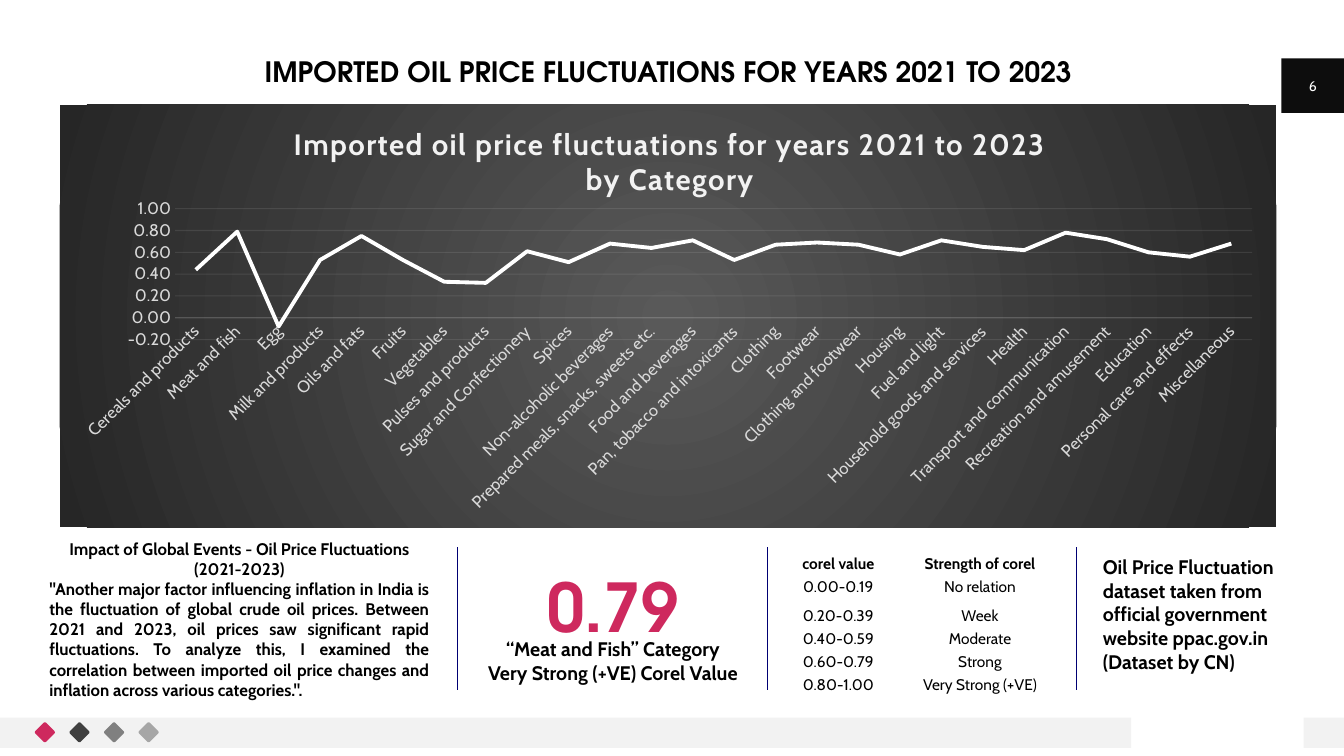
import pptx
import pptx.chart.data
import pptx.dml.color
import pptx.enum.chart
import pptx.enum.shapes
import pptx.enum.text
import pptx.oxml
import pptx.oxml.ns
import pptx.util
from lxml import etree

Inches, Pt = pptx.util.Inches, pptx.util.Pt
ALIGN = pptx.enum.text.PP_ALIGN
ANCHOR = pptx.enum.text.MSO_ANCHOR
SHAPE = pptx.enum.shapes.MSO_SHAPE

HEADING = "IMPORTED OIL PRICE FLUCTUATIONS FOR YEARS 2021 TO 2023"
PAGE = "6"
CHART_TITLE = "Imported oil price fluctuations for years 2021 to 2023\nby Category"
CORRELATIONS = {
    "Cereals and products": 0.44, "Meat and fish": 0.79, "Egg": -0.08,
    "Milk and products": 0.53, "Oils and fats": 0.75, "Fruits": 0.53,
    "Vegetables": 0.33, "Pulses and products": 0.32,
    "Sugar and Confectionery": 0.61, "Spices": 0.51,
    "Non-alcoholic beverages": 0.68,
    "Prepared meals, snacks, sweets etc.": 0.64,
    "Food and beverages": 0.71, "Pan, tobacco and intoxicants": 0.53,
    "Clothing": 0.67, "Footwear": 0.69, "Clothing and footwear": 0.67,
    "Housing": 0.58, "Fuel and light": 0.71,
    "Household goods and services": 0.65, "Health": 0.62,
    "Transport and communication": 0.78, "Recreation and amusement": 0.72,
    "Education": 0.6, "Personal care and effects": 0.56, "Miscellaneous": 0.68,
}
IMPACT = [
    ("Impact of Global Events - Oil Price Fluctuations", ALIGN.CENTER),
    ("(2021-2023)", ALIGN.CENTER),
    ('"Another major factor influencing inflation in India is the fluctuation of '
     "global crude oil prices. Between 2021 and 2023, oil prices saw significant "
     "rapid fluctuations. To analyze this, I examined the correlation between "
     "imported oil price changes and inflation across various categories.\".",
     ALIGN.JUSTIFY),
]
TOP_VALUE = "0.79"
TOP_CAPTION = ["“Meat and Fish” Category", "Very Strong (+VE) Corel Value"]
STRENGTHS = [
    ("corel value", "Strength of corel"),
    ("0.00-0.19", "No relation"),
    ("0.20-0.39", "Week"),
    ("0.40-0.59", "Moderate"),
    ("0.60-0.79", "Strong"),
    ("0.80-1.00", "Very Strong (+VE)"),
]
DATASET = ("Oil Price Fluctuation dataset taken from official government website "
           "ppac.gov.in (Dataset by CN)")

THEME = {
    "body": "Cabin", "display": "TeX Gyre Adventor",
    "text": "000000", "paper": "FFFFFF", "accent": "CE295E", "band": "F2F2F2",
    "page": "0D0D0D", "divider": "000073", "label": "D9D9D9",
    "glow": "595959", "edge": "262626",
    "diamonds": ["CE295E", "404040", "808080", "A6A6A6"],
    "heading_size": 20, "page_size": 10, "body_size": 12, "note_size": 14,
    "value_size": 48, "table_size": 11, "chart_title_size": 21,
}


def rgb(name):
    return pptx.dml.color.RGBColor.from_string(THEME.get(name, name))


def style(font, size, color="text", bold=True, face="body"):
    font.name, font.size, font.bold = THEME[face], Pt(THEME[size]), bold
    font.color.rgb = rgb(color)


def write(frame, lines, anchor, margin=0, **look):
    frame.word_wrap = True
    frame.vertical_anchor = anchor
    frame.margin_left = frame.margin_right = Inches(margin)
    frame.margin_top = frame.margin_bottom = Inches(margin / 2)
    for index, (text, align) in enumerate(lines):
        paragraph = frame.add_paragraph() if index else frame.paragraphs[0]
        paragraph.text, paragraph.alignment = text, align
        style(paragraph.font, **look)


def add_text(slide, box, lines, anchor=ANCHOR.MIDDLE, margin=0, **look):
    frame = slide.shapes.add_textbox(*map(Inches, box)).text_frame
    write(frame, lines, anchor, margin, **look)
    return frame


def add_block(slide, kind, box, color):
    block = slide.shapes.add_shape(kind, *map(Inches, box))
    block.shadow.inherit = False
    block.fill.solid()
    block.fill.fore_color.rgb = rgb(color)
    block.line.fill.background()
    return block


def faint_line(line):
    line.width = Pt(0.75)
    line.color.rgb = rgb("band")
    tint = line.fill._xPr.find(".//" + pptx.oxml.ns.qn("a:srgbClr"))
    etree.SubElement(tint, pptx.oxml.ns.qn("a:alpha"), val="10000")


def set_layout(parent, index, **settings):
    for former in parent.findall(pptx.oxml.ns.qn("c:layout")):
        parent.remove(former)
    layout = etree.Element(pptx.oxml.ns.qn("c:layout"))
    manual = etree.SubElement(layout, pptx.oxml.ns.qn("c:manualLayout"))
    for key, value in settings.items():
        etree.SubElement(manual, pptx.oxml.ns.qn("c:" + key), val=str(value))
    parent.insert(index, layout)


def add_frame(slide):
    for left, width in ((0, 11.22), (12.93, 0.4)):
        add_block(slide, SHAPE.RECTANGLE, (left, 7.12, width, 0.3), "band")
    page = add_block(slide, SHAPE.RECTANGLE, (12.71, 0.58, 0.62, 0.54), "page")
    write(page.text_frame, [(PAGE, ALIGN.CENTER)], ANCHOR.MIDDLE,
          size="page_size", color="paper", bold=False)
    for index, color in enumerate(THEME["diamonds"]):
        diamond = add_block(slide, SHAPE.ROUNDED_RECTANGLE,
                            (0.37 + 0.343 * index, 7.19, 0.15, 0.15), color)
        diamond.adjustments[0] = 0.11
        diamond.rotation = 45
    for index in range(3):
        x = Inches(4.54 + 3.07 * index)
        divider = slide.shapes.add_connector(
            pptx.enum.shapes.MSO_CONNECTOR.STRAIGHT, x, Inches(5.43), x, Inches(6.85))
        divider.line.color.rgb = rgb("divider")
        divider.line.width = Pt(0.5)
        etree.SubElement(divider._element.spPr, pptx.oxml.ns.qn("a:effectLst"))


def add_correlation_chart(slide):
    data = pptx.chart.data.CategoryChartData(number_format="0.00")
    data.categories = list(CORRELATIONS)
    data.add_series("Series 1", list(CORRELATIONS.values()))
    chart = slide.shapes.add_chart(
        pptx.enum.chart.XL_CHART_TYPE.LINE,
        *map(Inches, (0.59, 1.04, 12.07, 4.19)), data).chart
    style(chart.font, "page_size", bold=False)
    chart.has_legend = False
    chart.has_title = True
    title = chart.chart_title.text_frame
    title.text = CHART_TITLE
    for paragraph in title.paragraphs:
        paragraph.alignment = ALIGN.CENTER
        style(paragraph.font, "chart_title_size", "band")
        paragraph.font._element.set("spc", "100")
    set_layout(chart.chart_title._element, 1,
               xMode="edge", yMode="edge", x=0.19, y=0.04)
    plot = chart.plots[0]
    plot.vary_by_categories = False
    set_layout(plot._element.getparent(), 0, layoutTarget="inner", xMode="edge",
               yMode="edge", x=0.095, y=0.246, w=0.885, h=0.31)
    series = plot.series[0]
    series.smooth = False
    series.marker.style = pptx.enum.chart.XL_MARKER_STYLE.NONE
    series.format.line.color.rgb = rgb("paper")
    series.format.line.width = Pt(2.75)

    categories, values = chart.category_axis, chart.value_axis
    for axis in (categories, values):
        axis.major_tick_mark = axis.minor_tick_mark = pptx.enum.chart.XL_TICK_MARK.NONE
        style(axis.tick_labels.font, "body_size", "label", bold=False)
    categories._element.find(".//" + pptx.oxml.ns.qn("a:bodyPr")).set("rot", "-2700000")
    faint_line(categories.format.line)
    values.minimum_scale, values.maximum_scale, values.major_unit = -0.2, 1, 0.2
    values.tick_labels.number_format = "0.00"
    values.tick_labels.number_format_is_linked = False
    values.format.line.fill.background()
    values.has_major_gridlines = True
    faint_line(values.major_gridlines.format.line)

    backdrop = pptx.oxml.parse_xml(
        f'<c:spPr {pptx.oxml.ns.nsdecls("c", "a")}><a:gradFill><a:gsLst>'
        f'<a:gs pos="0"><a:srgbClr val="{THEME["glow"]}"/></a:gs>'
        f'<a:gs pos="100000"><a:srgbClr val="{THEME["edge"]}"/></a:gs></a:gsLst>'
        '<a:path path="circle"><a:fillToRect l="50000" t="50000" r="50000" b="50000"/>'
        '</a:path></a:gradFill><a:ln><a:noFill/></a:ln></c:spPr>')
    chart._chartSpace.find(pptx.oxml.ns.qn("c:txPr")).addprevious(backdrop)


def add_strength_table(slide):
    table = slide.shapes.add_table(
        len(STRENGTHS), 2, *map(Inches, (7.74, 5.46, 2.81, 1.45))).table
    for column, width in zip(table.columns, (1.15, 1.66)):
        column.width = Inches(width)
    for index, labels in enumerate(STRENGTHS):
        table.rows[index].height = Inches(0.28 if index == 2 else 0.23)
        for cell, label in zip(table.rows[index].cells, labels):
            cell.fill.solid()
            cell.fill.fore_color.rgb = rgb("paper")
            cell.vertical_anchor = ANCHOR.BOTTOM
            cell.margin_left = cell.margin_right = cell.margin_top = Inches(0.01)
            cell.margin_bottom = 0
            paragraph = cell.text_frame.paragraphs[0]
            paragraph.text, paragraph.alignment = label, ALIGN.CENTER
            style(paragraph.font, "table_size", bold=index == 0)


def main():
    deck = pptx.Presentation()
    deck.slide_width, deck.slide_height = Inches(13.33), Inches(7.5)
    slide = deck.slides.add_slide(deck.slide_layouts[6])
    add_frame(slide)
    heading = add_text(slide, (0.88, 0.58, 11.5, 0.3), [(HEADING, ALIGN.CENTER)],
                       ANCHOR.TOP, size="heading_size", face="display")
    heading.paragraphs[0].line_spacing = 0.9
    add_text(slide, (0.49, 5.33, 3.77, 1.62), IMPACT, size="body_size")
    add_text(slide, (4.68, 5.6, 2.8, 0.81), [(TOP_VALUE, ALIGN.CENTER)],
             size="value_size", color="accent", face="display")
    add_text(slide, (4.79, 6.32, 2.58, 0.47),
             [(line, ALIGN.CENTER) for line in TOP_CAPTION], size="note_size")
    add_correlation_chart(slide)
    add_strength_table(slide)
    add_text(slide, (10.84, 5.46, 2.27, 1.28), [(DATASET, ALIGN.LEFT)],
             ANCHOR.TOP, margin=0.1, size="note_size")
    deck.save("out.pptx")


if __name__ == "__main__":
    main()
